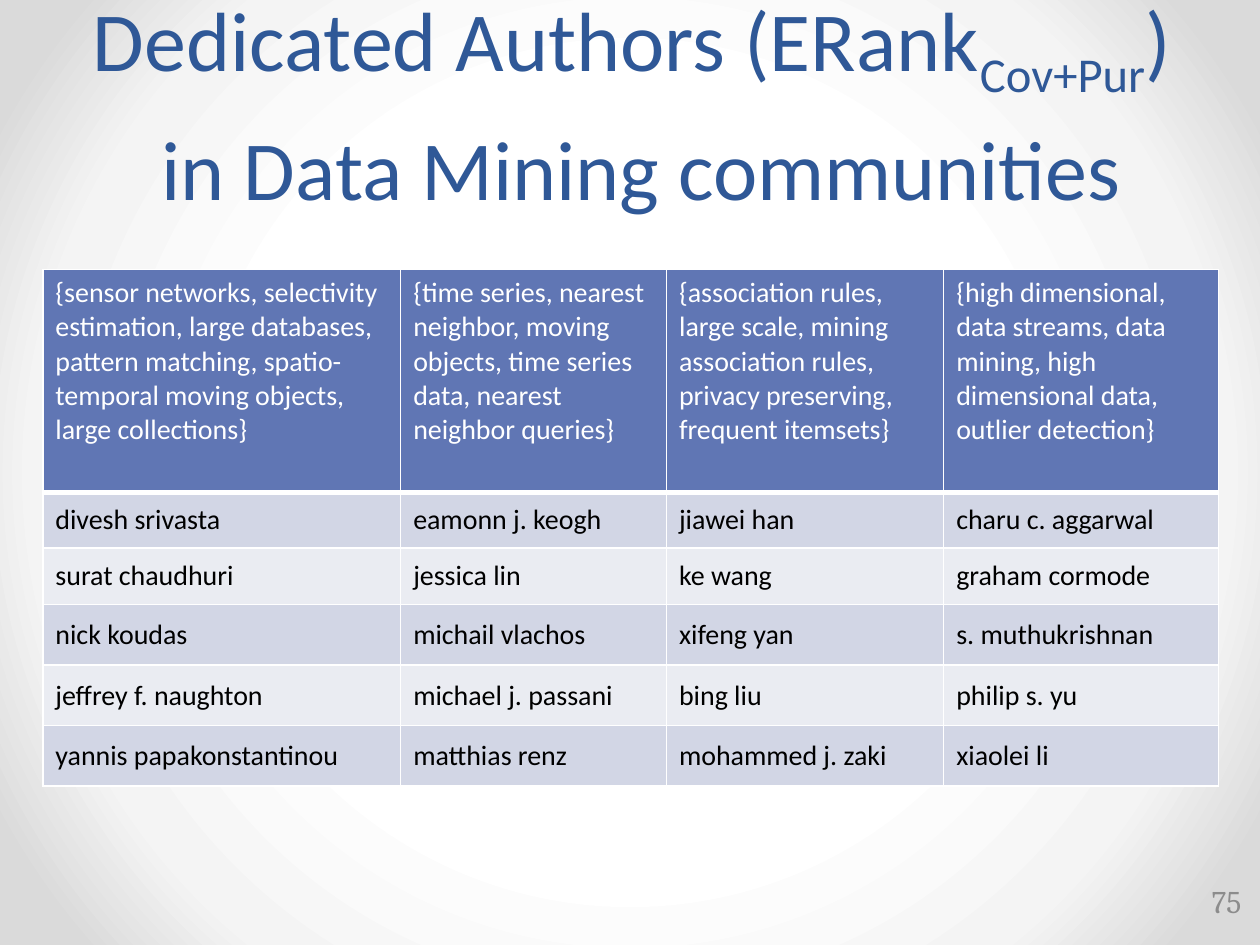
from lxml import etree
from pptx import Presentation, util as u
from pptx.dml.color import RGBColor
from pptx.enum import text
from pptx.oxml import parse_xml

NS = "http://schemas.openxmlformats.org/drawingml/2006/main"
PNS = "http://schemas.openxmlformats.org/presentationml/2006/main"
C = {"title": "2F5897", "head": "6076B4", "band": "D2D6E5", "pale": "EAECF2",
     "white": "FFFFFF", "mist": "F4F4F4", "edge": "DADADA", "ink": "000000", "number": "8C8C8C"}

prs = Presentation()
prs.slide_width, prs.slide_height = u.Inches(10), u.Inches(7.5)
W, H = prs.slide_width, prs.slide_height
s = prs.slides.add_slide(prs.slide_layouts[6])

stops = "".join(f'<a:gs pos="{pos}000"><a:srgbClr val="{C[name]}"/></a:gs>'
                for pos, name in ((50, "white"), (76, "mist"), (92, "edge")))
s._element.cSld.insert(0, parse_xml(
    f'<p:bg xmlns:p="{PNS}" xmlns:a="{NS}"><p:bgPr><a:gradFill rotWithShape="1">'
    f'<a:gsLst>{stops}</a:gsLst><a:path path="circle">'
    '<a:fillToRect l="50000" t="50000" r="50000" b="50000"/></a:path>'
    '</a:gradFill><a:effectLst/></p:bgPr></p:bg>'))


def write(p, words, size, color, font="Calibri"):
    r = p.add_run()
    r.text = words
    for name, value in {"size": u.Pt(size), "name": font, "bold": False}.items():
        setattr(r.font, name, value)
    r.font.color.rgb = RGBColor.from_string(C[color])
    return r


def text_box(left, top, width, height, **frame):
    tf = s.shapes.add_textbox(int(W * left), int(H * top), int(W * width), int(H * height)).text_frame
    for name, value in {"word_wrap": True, **frame}.items():
        setattr(tf, name, value)
    return tf.paragraphs[0]


p = text_box(0.018, 0, 0.982, 0.233, vertical_anchor=text.MSO_ANCHOR.BOTTOM, margin_bottom=u.Inches(0.02))
p.alignment = text.PP_ALIGN.CENTER
p.line_spacing = u.Pt(66)
write(p, "Dedicated Authors (ERank", 48, "title")
write(p, "Cov+Pur", 48, "title").font._element.set("baseline", "-25000")
write(p, ") ", 48, "title")
p.add_line_break()
write(p, "in Data Mining communities", 48, "title")

rows = [
    ["{sensor networks, selectivity estimation, large databases, pattern matching, spatio- temporal moving objects, large collections}",
     "{time series, nearest neighbor, moving objects, time series data, nearest neighbor queries}",
     "{association rules, large scale, mining association rules, privacy preserving, frequent itemsets}",
     "{high dimensional, data streams, data mining, high dimensional data, outlier detection}"],
    ["divesh srivasta", "eamonn j. keogh", "jiawei han", "charu c. aggarwal"],
    ["surat chaudhuri", "jessica lin", "ke wang", "graham cormode"],
    ["nick koudas", "michail vlachos", "xifeng yan", "s. muthukrishnan"],
    ["jeffrey f. naughton", "michael j. passani", "bing liu", "philip s. yu"],
    ["yannis papakonstantinou", "matthias renz", "mohammed j. zaki", "xiaolei li"],
]
widths = [2.84, 2.11, 2.2, 2.18]
heights = [1.77, 0.44, 0.45] + [0.48] * 3
table = s.shapes.add_table(len(rows), len(widths), u.Inches(0.34), u.Inches(2.14),
                           u.Inches(sum(widths)), u.Inches(sum(heights))).table
table.first_row = table.horz_banding = False
for column, width in zip(table.columns, widths):
    column.width = u.Inches(width)
for i, (row, height) in enumerate(zip(rows, heights)):
    table.rows[i].height = u.Inches(height)
    fill = "head" if i == 0 else ("pale", "band")[i % 2]
    for j, words in enumerate(row):
        cell = table.cell(i, j)
        cell.vertical_anchor = text.MSO_ANCHOR.MIDDLE if i else text.MSO_ANCHOR.TOP
        tcPr = cell._tc.get_or_add_tcPr()
        for side in "LRTB":
            points = 3 if i == 0 and side == "B" else 1
            ln = etree.SubElement(tcPr, f"{{{NS}}}ln{side}", w=str(u.Pt(points)))
            solid = etree.SubElement(ln, f"{{{NS}}}solidFill")
            etree.SubElement(solid, f"{{{NS}}}srgbClr", val=C["white"])
        cell.fill.solid()
        cell.fill.fore_color.rgb = RGBColor.from_string(C[fill])
        write(cell.text_frame.paragraphs[0], words, 16, "ink" if i else "white")

p = text_box(0.934, 0.927, 0.061, 0.053, vertical_anchor=text.MSO_ANCHOR.MIDDLE)
p.alignment = text.PP_ALIGN.RIGHT
write(p, "75", 18, "number", "Cambria")

prs.save("out.pptx")
